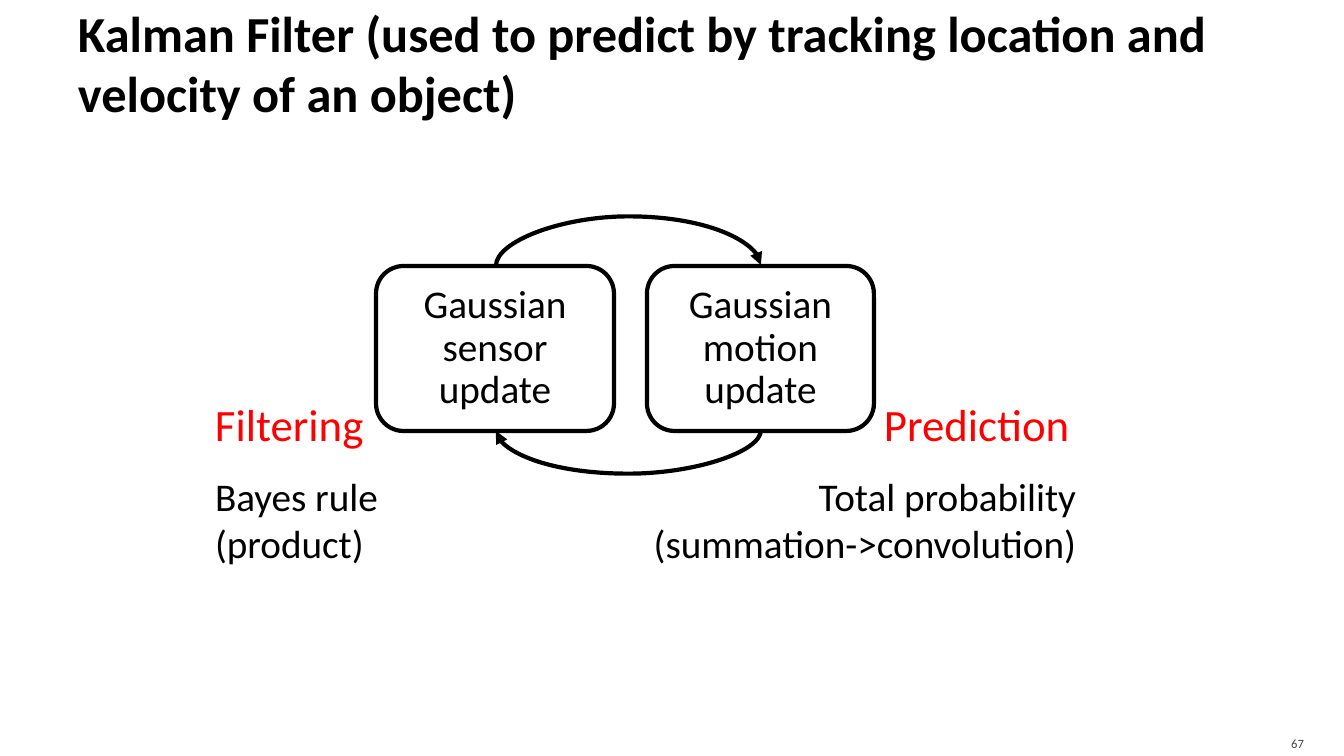
from dataclasses import dataclass

from pptx import Presentation
from pptx.dml.color import RGBColor
from pptx.enum.shapes import MSO_CONNECTOR, MSO_SHAPE
from pptx.enum.text import MSO_ANCHOR as ANCHOR, PP_ALIGN as ALIGN
from pptx.oxml import parse_xml
from pptx.oxml.ns import nsdecls, qn
from pptx.util import Emu, Pt

FONT = "Calibri"
BLACK, RED, GREY = "000000", "FF0000", "454545"


def px(n: float) -> Emu:
    return Emu(round(n * 914400 / 100.8))


def rgb(color: str) -> RGBColor:
    return RGBColor.from_string(color)


@dataclass
class Label:
    text: str
    x: int
    y: int
    w: int
    h: int
    size: int
    color: str = BLACK
    bold: bool = False
    align: ALIGN = ALIGN.LEFT
    anchor: ANCHOR = ANCHOR.TOP
    wrap: bool = True
    insets: tuple[int, int, int, int] = (10, 5, 10, 5)


@dataclass
class UpdateBox:
    text: str
    x: int
    w: int


@dataclass
class Arc:
    y: int  # edge of the boxes where the arc starts
    bulge: int  # height of the arc
    upward: bool


BOX_TOP, BOX_HEIGHT = 266, 165
ARC_LEFT, ARC_SPAN = 496, 265

LABELS = [
    Label("Kalman Filter (used to predict by tracking location and velocity of an object)",
          68, 8, 1210, 109, 36, bold=True, anchor=ANCHOR.MIDDLE, insets=(10, 5, 5, 5)),
    Label("67", 1206, 726, 108, 30, 9, GREY, align=ALIGN.RIGHT,
          anchor=ANCHOR.MIDDLE, insets=(10, 5, 10, 0)),
    Label("Bayes rule (product)", 205, 467, 196, 105, 28),
    Label("Total probability (summation->convolution)", 614, 467, 472, 105, 28,
          align=ALIGN.RIGHT),
    Label("Prediction", 874, 392, 216, 65, 32, RED, wrap=False),
    Label("Filtering", 205, 392, 177, 65, 32, RED, wrap=False),
]
BOXES = [
    UpdateBox("Gaussian sensor update", 376, 238),
    UpdateBox("Gaussian motion update", 647, 227),
]
ARCS = [
    Arc(BOX_TOP, 50, True),
    Arc(BOX_TOP + BOX_HEIGHT - 1, 44, False),
]


def write(tf, label: Label) -> None:
    tf.word_wrap = label.wrap
    tf.vertical_anchor = label.anchor
    tf.margin_left, tf.margin_top, tf.margin_right, tf.margin_bottom = map(px, label.insets)
    p = tf.paragraphs[0]
    p.alignment = label.align
    r = p.add_run()
    r.text = label.text
    r.font.name, r.font.size, r.font.bold = FONT, Pt(label.size), label.bold
    r.font.color.rgb = rgb(label.color)


def add_label(s, label: Label) -> None:
    sp = s.shapes.add_textbox(px(label.x), px(label.y), px(label.w), px(label.h))
    write(sp.text_frame, label)


def add_box(s, box: UpdateBox) -> None:
    label = Label(box.text, box.x, BOX_TOP, box.w, BOX_HEIGHT, 28, align=ALIGN.CENTER,
                  anchor=ANCHOR.MIDDLE, insets=(0, 0, 0, 0))
    sp = s.shapes.add_shape(MSO_SHAPE.ROUNDED_RECTANGLE, px(label.x), px(label.y),
                            px(label.w), px(label.h))
    sp.shadow.inherit = False
    sp.fill.background()
    sp.line.color.rgb = rgb(BLACK)
    sp.line.width = Pt(3)
    write(sp.text_frame, label)
    sp.text_frame.paragraphs[0].line_spacing = 0.9


def add_arc(s, arc: Arc) -> None:
    # A one-pixel-wide upright connector, turned by 90 degrees about its centre
    x = ARC_LEFT + ARC_SPAN // 2
    top = arc.y - ARC_SPAN // 2 - int(arc.upward)
    cxn = s.shapes.add_connector(MSO_CONNECTOR.CURVE, px(x), px(top),
                                 px(x + 1), px(top + ARC_SPAN))
    cxn.line.color.rgb = rgb(BLACK)
    cxn.line.width = Pt(3)
    props = cxn._element.spPr
    xfrm = props.find(qn("a:xfrm"))
    xfrm.set("rot", "5400000")
    if arc.upward:
        xfrm.set("flipH", "1")
        xfrm.set("flipV", "1")
    # The bulge is a share of the one-pixel width, in 1/100000
    guides = props.find(qn("a:prstGeom")).get_or_add_avLst()
    guides.append(parse_xml(
        f'<a:gd {nsdecls("a")} name="adj1" fmla="val {arc.bulge * 100000}"/>'))
    props.find(qn("a:ln")).append(parse_xml(f'<a:tailEnd {nsdecls("a")} type="triangle"/>'))
    props.append(parse_xml(f'<a:effectLst {nsdecls("a")}/>'))


def main() -> None:
    prs = Presentation()
    prs.slide_width, prs.slide_height = px(1344), px(756)
    s = prs.slides.add_slide(prs.slide_layouts[6])

    # Update cycle
    for box in BOXES:
        add_box(s, box)
    for arc in ARCS:
        add_arc(s, arc)

    # Title, page number and captions
    for label in LABELS:
        add_label(s, label)

    prs.save("out.pptx")


if __name__ == "__main__":
    main()
